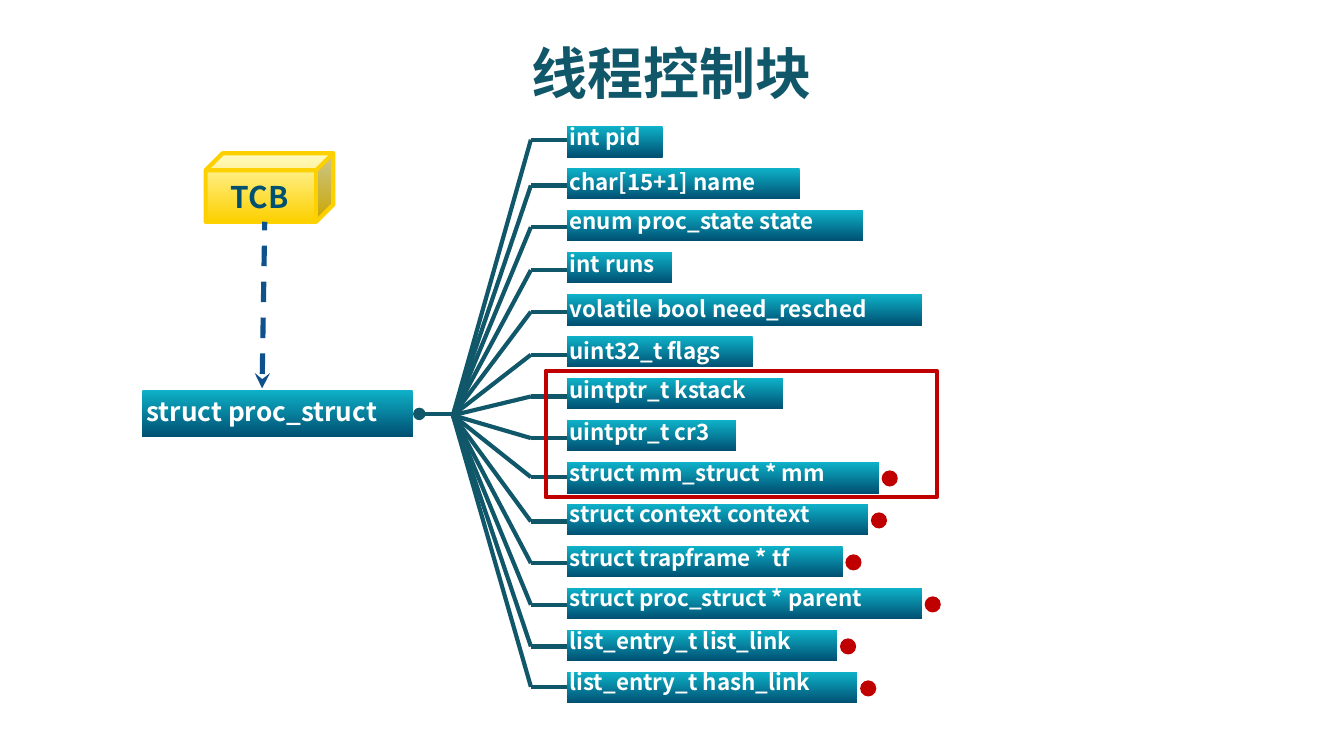
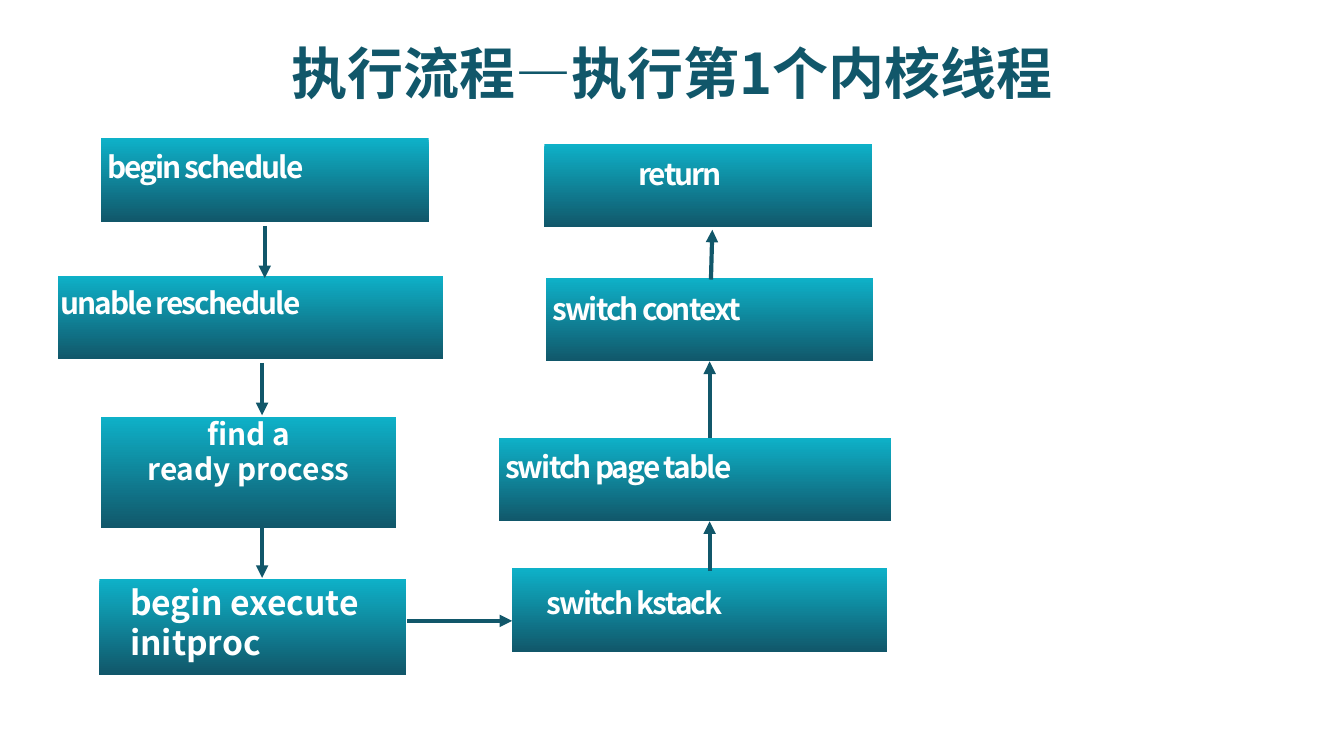
from lxml import etree
from pptx import Presentation
from pptx.dml.color import RGBColor
from pptx.enum.dml import MSO_LINE
from pptx.enum.shapes import MSO_CONNECTOR, MSO_SHAPE
from pptx.enum.text import MSO_ANCHOR, MSO_AUTO_SIZE, PP_ALIGN
from pptx.oxml.ns import qn
from pptx.util import Inches, Pt

RECT, OVAL, CUBE = MSO_SHAPE.RECTANGLE, MSO_SHAPE.OVAL, MSO_SHAPE.CUBE
LEFT, CENTER = PP_ALIGN.LEFT, PP_ALIGN.CENTER
MIDDLE = MSO_ANCHOR.MIDDLE
STRAIGHT = MSO_CONNECTOR.STRAIGHT
DASH = MSO_LINE.DASH
FIT, FIXED = MSO_AUTO_SIZE.SHAPE_TO_FIT_TEXT, MSO_AUTO_SIZE.NONE

FONT = "Noto Sans CJK SC"
TEAL, AQUA, NAVY, BLUE = "11576A", "0EB1C8", "005072", "0F518B"
WHITE, RED, GOLD, CREAM = "FFFFFF", "C00000", "FDD000", "FFF9B1"

FIELDS = [
    ("int pid", 0.87, 0.71, 1.04, False),
    ("char[15+1] name", 1.2, 1.73, 1.38, False),
    ("enum proc_state state", 1.49, 2.2, 1.69, False),
    ("int runs", 1.81, 0.78, 2.01, False),
    ("volatile bool need_resched", 2.15, 2.64, 2.32, False),
    ("uint32_t flags", 2.46, 1.38, 2.64, False),
    ("uintptr_t kstack", 2.75, 1.61, 2.95, False),
    ("uintptr_t cr3", 3.06, 1.26, 3.26, False),
    ("struct mm_struct * mm", 3.37, 2.32, 3.55, True),
    ("struct context context", 3.67, 2.24, 3.88, True),
    ("struct trapframe * tf", 4, 2.05, 4.19, True),
    ("struct proc_struct * parent", 4.3, 2.64, 4.5, True),
    ("list_entry_t list_link", 4.62, 2.01, 4.81, True),
    ("list_entry_t hash_link", 4.92, 2.16, 5.11, True),
]

STEPS = [
    ("begin schedule", (0.75, 1.03, 2.44, 0.62), (0.7, 1.06, 1.89, 0.38),
     16, LEFT, -1, None),
    ("unable reschedule", (0.43, 2.05, 2.87, 0.62), (0.35, 2.07, 2.25, 0.38),
     16, LEFT, -1, (1.97, 1.68, 1.97, 2.07)),
    ("find a\nready process", (0.75, 3.1, 2.2, 0.83), (0.97, 3.04, 1.76, 0.65),
     16, CENTER, 0, (1.95, 2.7, 1.95, 3.09)),
    ("begin execute\ninitproc", (0.74, 4.31, 2.28, 0.71), (0.87, 4.28, 1.99, 0.72),
     18, LEFT, 0, (1.95, 3.91, 1.95, 4.3)),
    ("switch context", (4.06, 2.07, 2.44, 0.62), (4.01, 2.11, 1.82, 0.38),
     16, LEFT, -1, (5.28, 3.31, 5.28, 2.69)),
    ("switch kstack", (3.81, 4.23, 2.79, 0.62), (3.97, 4.3, 1.7, 0.38),
     16, LEFT, -1, (3.03, 4.62, 3.81, 4.62)),
    ("switch page table", (3.71, 3.26, 2.92, 0.62), (3.66, 3.29, 2.15, 0.38),
     16, LEFT, -1, (5.28, 4.25, 5.28, 3.88)),
    ("return", (4.05, 1.07, 2.44, 0.62), (4.65, 1.11, 0.91, 0.37),
     16, LEFT, -1, (5.29, 2.08, 5.3, 1.71)),
]


def rgb(code):
    return RGBColor.from_string(code)


class Deck:
    def __init__(self):
        self.prs = Presentation()
        self.prs.slide_width = Inches(10)
        self.prs.slide_height = Inches(10 * 9 / 16)
        self.slide = None

    def page(self, title):
        self.slide = self.prs.slides.add_slide(self.prs.slide_layouts[5])
        head = self.slide.shapes.title
        head.left, head.top = Inches(0), Inches(0.23)
        head.width, head.height = Inches(10), Inches(0.61)
        frame = head.text_frame
        frame.text = title
        frame.auto_size = FIXED
        frame.vertical_anchor = MIDDLE
        self.style(frame, 30, TEAL, CENTER)

    def style(self, frame, size, color, align, space=0):
        for para in frame.paragraphs:
            para.alignment = align
            for run in para.runs:
                font = run.font
                font.name, font.size, font.bold = FONT, Pt(size), True
                font.color.rgb = rgb(color)
                props = run._r.get_or_add_rPr()
                etree.SubElement(props, qn("a:ea")).set("typeface", FONT)
                if space:
                    props.set("spc", str(space * 100))

    def text(self, words, box, size, color=WHITE, align=LEFT, space=0):
        frame = self.slide.shapes.add_textbox(*map(Inches, box)).text_frame
        frame.text = words
        frame.word_wrap = False
        frame.auto_size = FIT
        self.style(frame, size, color, align, space)

    def shape(self, kind, box, fill=None, edge=None):
        item = self.slide.shapes.add_shape(kind, *map(Inches, box))
        item.shadow.inherit = False
        if fill is None:
            item.fill.background()
        elif isinstance(fill, tuple):
            item.fill.gradient()
            item.fill.gradient_angle = 270
            for stop, place, color in zip(item.fill.gradient_stops, (0, 1), fill):
                stop.position = place
                stop.color.rgb = rgb(color)
        else:
            item.fill.solid()
            item.fill.fore_color.rgb = rgb(fill)
        if edge:
            item.line.color.rgb = rgb(edge)
            item.line.width = Pt(2.25)
        else:
            item.line.fill.background()

    def wire(self, ends, color=TEAL, width=2.25, dash=None, head=None, tail=None):
        item = self.slide.shapes.add_connector(STRAIGHT, *map(Inches, ends))
        item.line.color.rgb = rgb(color)
        item.line.width = Pt(width)
        if dash:
            item.line.dash_style = dash
        props = item.element.spPr
        line = props.find(qn("a:ln"))
        for tag, mark in (("a:headEnd", head), ("a:tailEnd", tail)):
            if mark:
                etree.SubElement(line, qn(tag)).set("type", mark)
        etree.SubElement(props, qn("a:effectLst"))


def block(deck):
    deck.page("线程控制块")
    left, bend = 4.22, 3.95
    for i, (name, top, width, level, dot) in enumerate(FIELDS):
        bar = 0.94 + i * 5 / 16
        deck.shape(RECT, (left, bar, width, 0.23), (AQUA, NAVY))
        deck.text(name, (4.14, top, width + 0.1, 0.31), 12)
        deck.wire((left, level, bend, level))
        deck.wire((3.37, 3.09, bend, level))
        if dot:
            deck.shape(OVAL, (left + width + 0.02, bar + 0.06, 0.12, 0.12), RED)
    deck.shape(RECT, (1.06, 2.9, 2.01, 0.35), (AQUA, NAVY))
    deck.text("struct proc_struct", (0.99, 2.89, 2.13, 0.35), 14)
    deck.wire((3.12, 3.08, 3.38, 3.08), head="oval")
    deck.shape(RECT, (4.06, 2.76, 2.91, 0.94), edge=RED)
    deck.shape(CUBE, (1.53, 1.14, 0.95, 0.51), (CREAM, GOLD), GOLD)
    deck.text("TCB", (1.62, 1.28, 0.69, 0.37), 16, NAVY)
    deck.wire((1.95, 2.89, 1.97, 1.65), BLUE, 2.75, DASH, head="stealth")


def flow(deck):
    deck.page("执行流程—执行第1个内核线程")
    for words, box, area, size, align, space, arrow in STEPS:
        deck.shape(RECT, box, (AQUA, TEAL))
        deck.text(words, area, size, align=align, space=space)
        if arrow:
            deck.wire(arrow, tail="triangle")


def main():
    deck = Deck()
    block(deck)
    flow(deck)
    deck.prs.save("out.pptx")


if __name__ == "__main__":
    main()
